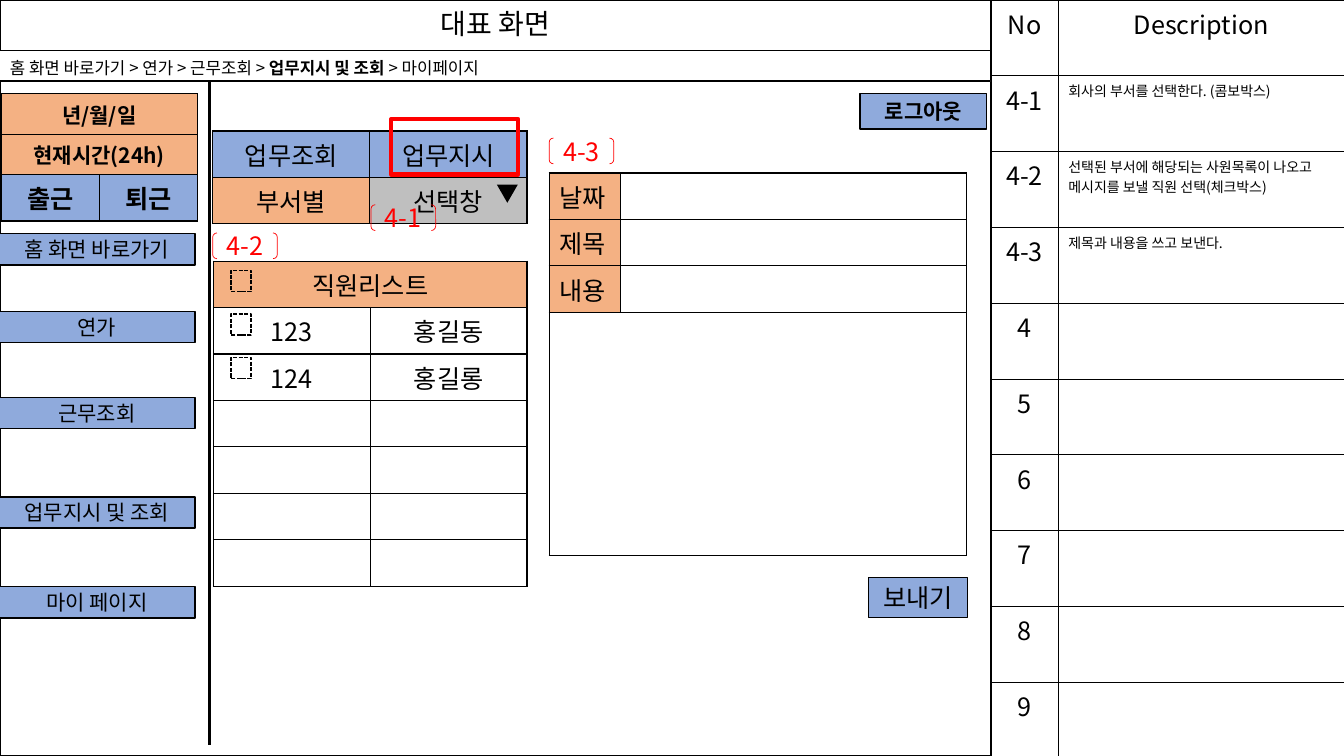
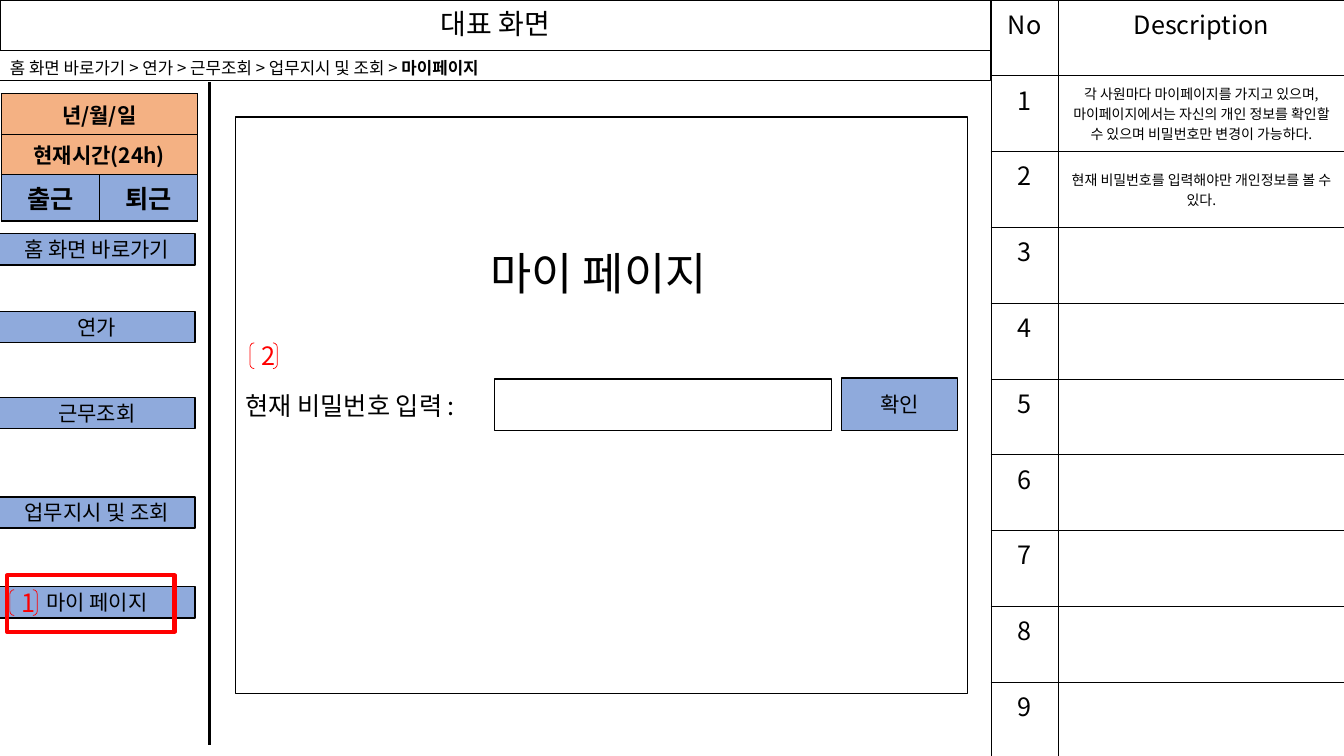
"""Build two wireframe slides of a staff portal: work orders and my page."""
from lxml import etree
from pptx import Presentation
from pptx.dml.color import RGBColor
from pptx.enum.dml import MSO_LINE
from pptx.enum.shapes import MSO_CONNECTOR, MSO_SHAPE
from pptx.enum.text import MSO_ANCHOR, MSO_AUTO_SIZE, PP_ALIGN
from pptx.oxml.ns import qn
from pptx.util import Cm, Pt

RECT, BRACKETS = MSO_SHAPE.RECTANGLE, MSO_SHAPE.DOUBLE_BRACKET
TRIANGLE = MSO_SHAPE.ISOSCELES_TRIANGLE
STRAIGHT, DASHED = MSO_CONNECTOR.STRAIGHT, MSO_LINE.SQUARE_DOT
LEFT, CENTER = PP_ALIGN.LEFT, PP_ALIGN.CENTER
TOP, MIDDLE = MSO_ANCHOR.TOP, MSO_ANCHOR.MIDDLE
NO_FIT = MSO_AUTO_SIZE.NONE

BLACK = RGBColor(0x00, 0x00, 0x00)
WHITE = RGBColor(0xFF, 0xFF, 0xFF)
RED = RGBColor(0xFF, 0x00, 0x00)
BLUE = RGBColor(0x8F, 0xAA, 0xDC)
ORANGE = RGBColor(0xF4, 0xB1, 0x83)
GRAY = RGBColor(0xBF, 0xBF, 0xBF)
FONT = "Noto Sans CJK KR"

MAIN_WIDTH = 24.97
ROW = 1.17
CRUMBS = ["홈 화면 바로가기", "연가", "근무조회", "업무지시 및 조회", "마이페이지"]
MENU = [("홈 화면 바로가기", 5.89), ("연가", 7.85), ("근무조회", 10.01),
        ("업무지시 및 조회", 12.52), ("마이 페이지", 14.78)]


def style(p, size, color=BLACK, bold=False, align=CENTER):
    """Set the alignment and the Latin and East Asian font of a paragraph."""
    p.alignment = align
    p.font.name, p.font.size, p.font.bold = FONT, Pt(size), bold
    p.font.color.rgb = color
    props = p._p.get_or_add_pPr().find(qn("a:defRPr"))
    etree.SubElement(props, qn("a:ea"), typeface=FONT)


def write(tf, text, size, **look):
    """Fill a text frame, one paragraph a line."""
    tf.text = text
    for p in tf.paragraphs:
        style(p, size, **look)


def paint(shape, fill, line, width):
    """Set fill and outline; None means neither is drawn."""
    if fill is None:
        shape.fill.background()
    else:
        shape.fill.solid()
        shape.fill.fore_color.rgb = fill
    if line is None:
        shape.line.fill.background()
    else:
        shape.line.color.rgb = line
        shape.line.width = Pt(width)


def add_box(s, left, top, width, height, text="", fill=None, line=BLACK,
            weight=1, size=15, kind=RECT, anchor=MIDDLE, **look):
    """Add a preset shape with optional text."""
    sp = s.shapes.add_shape(kind, Cm(left), Cm(top), Cm(width), Cm(height))
    sp.shadow.inherit = False
    paint(sp, fill, line, weight)
    if text:
        sp.text_frame.vertical_anchor = anchor
        write(sp.text_frame, text, size, **look)
    return sp


def add_mark(s, left, top, text, width=1.63):
    """Add a red bracketed reference number."""
    add_box(s, left, top, width, 0.65, text, line=RED, weight=0.5, size=18,
            kind=BRACKETS, color=RED)


def add_highlight(s, left, top, width, height):
    """Add a thick red frame."""
    add_box(s, left, top, width, height, line=RED, weight=3)


def set_borders(cell, weight):
    """Draw four black borders around a cell."""
    props = cell._tc.get_or_add_tcPr()
    for i, side in enumerate("LRTB"):
        ln = etree.Element(qn(f"a:ln{side}"), w=str(Pt(weight)))
        fill = etree.SubElement(ln, qn("a:solidFill"))
        etree.SubElement(fill, qn("a:srgbClr"), val=str(BLACK))
        props.insert(i, ln)


def add_grid(s, left, top, widths, heights, rows, fills=(), weight=1, **look):
    """Add a bordered table; fills maps (row, column) to a colour."""
    frame = s.shapes.add_table(len(heights), len(widths), Cm(left), Cm(top),
                               Cm(sum(widths)), Cm(sum(heights)))
    table = frame.table
    table.first_row = table.horz_banding = False
    for column, width in zip(table.columns, widths):
        column.width = Cm(width)
    for r, height in enumerate(heights):
        table.rows[r].height = Cm(height)
        for c in range(len(widths)):
            cell = table.cell(r, c)
            if (r, c) in fills:
                cell.fill.solid()
                cell.fill.fore_color.rgb = fills[r, c]
            else:
                cell.fill.background()
            set_borders(cell, weight)
            if r < len(rows) and rows[r][c]:
                write(cell.text_frame, rows[r][c], 18, **look)
    return table


def merge_row(table, row):
    """Join the two cells of a row."""
    table.cell(row, 0).merge(table.cell(row, 1))


def add_title(s):
    """Format the title placeholder as the top band."""
    title = s.shapes.title
    title.left, title.top = Cm(0), Cm(0)
    title.width, title.height = Cm(MAIN_WIDTH), Cm(1.27)
    paint(title, None, BLACK, 0.75)
    tf = title.text_frame
    tf.auto_size, tf.vertical_anchor = NO_FIT, MIDDLE
    write(tf, "대표 화면", 20)
    tf.paragraphs[0].line_spacing = 0.9


def add_breadcrumb(s, current):
    """Add the navigation band with the current page in bold."""
    add_box(s, 0, 1.27, MAIN_WIDTH, 0.77, weight=0.75)
    tf = s.shapes.add_textbox(Cm(0), Cm(1.32), Cm(15.6), Cm(0.76)).text_frame
    tf.word_wrap = True
    p = tf.paragraphs[0]
    for i, name in enumerate(CRUMBS):
        if i:
            p.add_run().text = "> "
        r = p.add_run()
        r.text = name + " "
        if name == current:
            r.font.bold = True
    style(p, 12, align=LEFT)


def add_descriptions(s, numbers, notes, align, anchor):
    """Add the numbered description table on the right."""
    notes = notes + [""] * (len(numbers) - len(notes))
    rows = [("No", "Description"), *zip(numbers, notes)]
    table = add_grid(s, MAIN_WIDTH, 0, [1.7, 7.21], [1.91] * len(rows), rows,
                     weight=0.5)
    for r, note in enumerate(notes, 1):
        if note:
            cell = table.cell(r, 1)
            cell.vertical_anchor = anchor
            for p in cell.text_frame.paragraphs:
                p.font.size, p.alignment = Pt(10), align


def add_sidebar(s):
    """Add the clock table, the menu and the divider."""
    rows = [("년/월/일", ""), ("현재시간(24h)", ""), ("출근", "퇴근")]
    fills = {(0, 0): ORANGE, (1, 0): ORANGE, (2, 0): BLUE, (2, 1): BLUE}
    clock = add_grid(s, 0.03, 2.36, [2.47] * 2, [1.02, 1.02, ROW], rows,
                     fills, bold=True)
    for r in range(2):
        merge_row(clock, r)
        clock.cell(r, 0).text_frame.paragraphs[0].font.size = Pt(15)
    for name, top in MENU:
        add_box(s, -0.03, top, 4.95, 0.79, name, fill=BLUE)
    divider = s.shapes.add_connector(STRAIGHT, Cm(5.28), Cm(2.06),
                                     Cm(5.28), Cm(18.77))
    divider.line.color.rgb, divider.line.width = BLACK, Pt(1.5)
    etree.SubElement(divider._element.spPr, qn("a:effectLst"))


def add_page(prs, current, numbers, notes, align, anchor):
    """Add a slide with everything the pages share."""
    s = prs.slides.add_slide(prs.slide_layouts[5])
    add_title(s)
    add_descriptions(s, numbers, notes, align, anchor)
    add_breadcrumb(s, current)
    return s


def add_staff_list(s):
    """Add the department selector and the staff list."""
    add_grid(s, 5.36, 3.3, [3.96] * 2, [ROW] * 2,
             [("업무조회", "업무지시"), ("부서별", "선택창")],
             {(0, 0): BLUE, (0, 1): BLUE, (1, 0): ORANGE, (1, 1): GRAY})
    arrow = add_box(s, 12.52, 4.65, 0.53, 0.46, fill=BLACK, line=None,
                    kind=TRIANGLE)
    arrow.rotation = 180
    staff = add_grid(s, 5.38, 6.58, [3.95] * 2, [ROW] * 7,
                     [("직원리스트", ""), ("123", "홍길동"), ("124", "홍길롱")],
                     {(0, 0): ORANGE})
    merge_row(staff, 0)
    for i in range(3):
        check = add_box(s, 5.82, 6.81 + 1.1 * i, 0.51, 0.53)
        check.line.dash_style = DASHED


def add_message_form(s):
    """Add the message form with its send button."""
    labels = ["날짜", "제목", "내용"]
    form = add_grid(s, 13.84, 4.36, [1.8, 8.71], [ROW] * 3 + [6.12],
                    [(label, "") for label in labels],
                    {(r, 0): ORANGE for r in range(len(labels))}, align=LEFT)
    merge_row(form, len(labels))
    add_box(s, 21.89, 14.55, 2.49, 1.02, "보내기", fill=BLUE, weight=0.75,
            size=18, anchor=TOP)


def build_work_orders(prs):
    """Build the work order page."""
    notes = ["회사의 부서를 선택한다. (콤보박스)",
             "선택된 부서에 해당되는 사원목록이 나오고\n메시지를 보낼 직원 선택(체크박스)",
             "제목과 내용을 쓰고 보낸다."]
    numbers = ["4-1", "4-2", "4-3"] + [str(n) for n in range(4, 10)]
    s = add_page(prs, "업무지시 및 조회", numbers, notes, LEFT, TOP)
    add_box(s, 0, 2.05, MAIN_WIDTH, 17, fill=WHITE)
    add_sidebar(s)
    add_staff_list(s)
    add_message_form(s)
    add_mark(s, 13.84, 3.48, "4-3")
    add_mark(s, 9.35, 5.16, "4-1")
    add_mark(s, 5.36, 5.87, "4-2")
    add_box(s, 21.67, 2.36, 3.2, 0.89, "로그아웃", fill=BLUE, bold=True)
    add_highlight(s, 9.86, 3, 3.2, 1.4)


def build_my_page(prs):
    """Build the password check of the personal page."""
    notes = ["각 사원마다 마이페이지를 가지고 있으며, 마이페이지에서는 자신의 "
             "개인 정보를 확인할 수 있으며 비밀번호만 변경이 가능하다.",
             "현재 비밀번호를 입력해야만 개인정보를 볼 수 있다."]
    numbers = [str(n) for n in range(1, 10)]
    s = add_page(prs, "마이페이지", numbers, notes, CENTER, MIDDLE)
    add_sidebar(s)
    add_box(s, 5.94, 2.95, 18.44, 14.53, "현재 비밀번호 입력 : ", fill=WHITE,
            size=18, align=LEFT)
    add_box(s, 12.47, 9.55, 8.48, 1.3, fill=WHITE)
    add_box(s, 21.21, 9.53, 2.92, 1.32, "확인", fill=BLUE)
    add_box(s, 9.22, 5.49, 11.73, 2.74, "마이 페이지", fill=WHITE, line=None,
            size=32)
    add_mark(s, 0.25, 14.86, "1", width=0.69)
    add_mark(s, 6.3, 8.64, "2", width=0.69)
    add_highlight(s, 0.18, 14.5, 4.22, 1.42)


def main():
    """Build and save the presentation."""
    prs = Presentation()
    prs.slide_width, prs.slide_height = Cm(33.87), Cm(19.05)
    build_work_orders(prs)
    build_my_page(prs)
    prs.save("out.pptx")


main()
